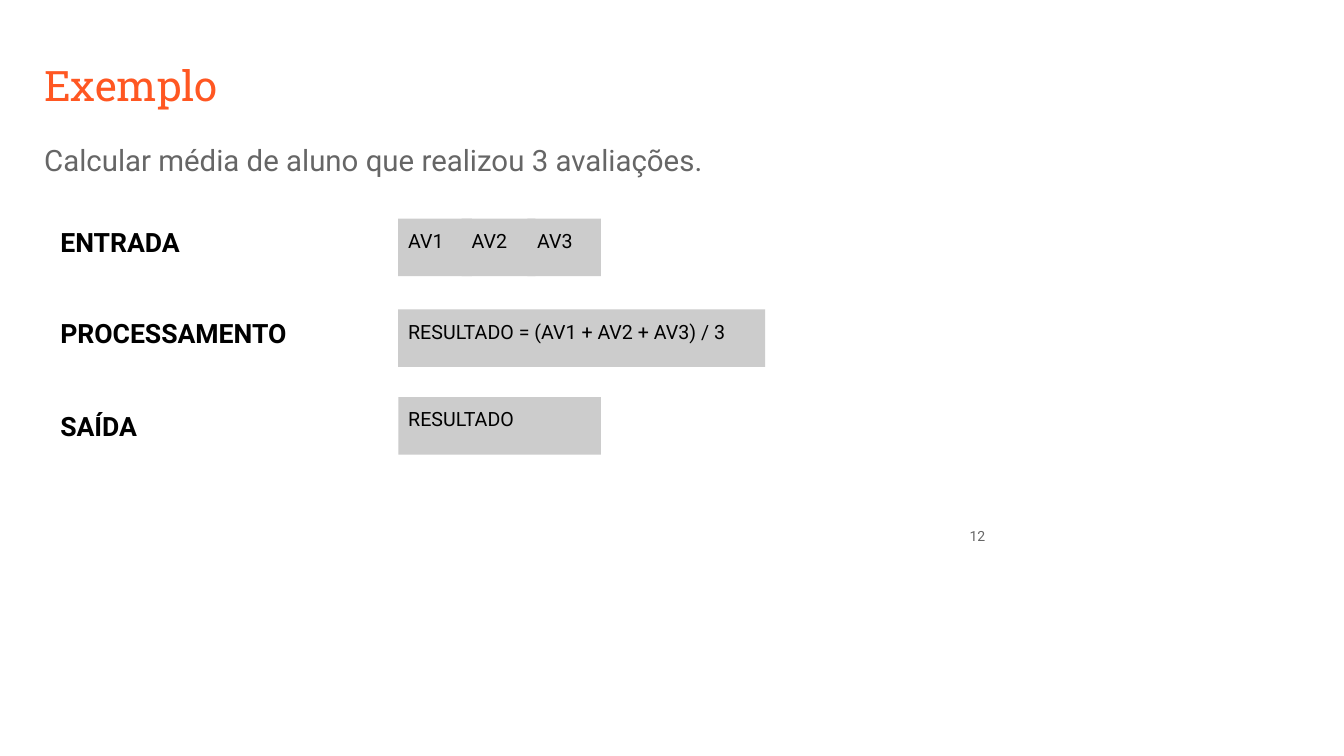
from dataclasses import dataclass

from pptx import Presentation
from pptx.dml.color import RGBColor
from pptx.enum.shapes import MSO_SHAPE
from pptx.enum.text import MSO_ANCHOR, PP_ALIGN
from pptx.shapes.autoshape import Shape
from pptx.slide import Slide
from pptx.util import Inches, Pt

RECTANGLE = MSO_SHAPE.RECTANGLE
TOP, MIDDLE = MSO_ANCHOR.TOP, MSO_ANCHOR.MIDDLE
LEFT, RIGHT = PP_ALIGN.LEFT, PP_ALIGN.RIGHT

COLORS = {"accent": "FF5722", "muted": "666666", "ink": "000000", "box": "CCCCCC"}
BODY_FONT, TITLE_FONT = "Roboto", "Roboto Slab"
LABEL_LEFT, LABEL_WIDTH, LABEL_HEIGHT = 0.5, 4.39, 0.63
BOX_HEIGHT = 0.57


@dataclass(frozen=True)
class TextStyle:
    size: float
    color: str
    font: str = BODY_FONT
    bold: bool = False
    align: PP_ALIGN = LEFT
    anchor: MSO_ANCHOR = TOP


@dataclass(frozen=True)
class Box:
    left: float
    width: float
    text: str


@dataclass(frozen=True)
class Stage:
    label: str
    label_top: float
    box_top: float
    boxes: tuple[Box, ...]


TITLE = TextStyle(30, "accent", TITLE_FONT)
STATEMENT = TextStyle(21, "muted")
STAGE_LABEL = TextStyle(19, "ink", bold=True)
BOX_TEXT = TextStyle(14, "ink")
PAGE_NUMBER = TextStyle(10, "muted", align=RIGHT, anchor=MIDDLE)

STAGES = (
    Stage("ENTRADA", 2.14, 2.17,
          (Box(3.95, 0.73, "AV1"), Box(4.58, 0.73, "AV2"), Box(5.23, 0.73, "AV3"))),
    Stage("PROCESSAMENTO", 3.04, 3.07,
          (Box(3.95, 3.64, "RESULTADO = (AV1 + AV2 + AV3) / 3"),)),
    Stage("SAÍDA", 3.97, 3.94, (Box(3.95, 2.01, "RESULTADO"),)),
)


def write(shape: Shape, text: str, style: TextStyle) -> None:
    frame = shape.text_frame
    frame.word_wrap = True
    frame.vertical_anchor = style.anchor
    frame.margin_left = frame.margin_right = Inches(0.1)
    frame.margin_top = frame.margin_bottom = Inches(0.1)
    paragraph = frame.paragraphs[0]
    paragraph.text = text
    paragraph.alignment = style.align
    font = paragraph.font
    font.name = style.font
    font.size = Pt(style.size)
    font.bold = style.bold
    font.color.rgb = RGBColor.from_string(COLORS[style.color])


def add_text(slide: Slide, left: float, top: float, width: float, height: float,
             text: str, style: TextStyle) -> Shape:
    area = slide.shapes.add_textbox(
        Inches(left), Inches(top), Inches(width), Inches(height))
    write(area, text, style)
    return area


def add_box(slide: Slide, box: Box, top: float) -> None:
    rectangle = slide.shapes.add_shape(
        RECTANGLE, Inches(box.left), Inches(top), Inches(box.width), Inches(BOX_HEIGHT))
    rectangle.shadow.inherit = False
    rectangle.fill.solid()
    rectangle.fill.fore_color.rgb = RGBColor.from_string(COLORS["box"])
    rectangle.line.fill.background()
    write(rectangle, box.text, BOX_TEXT)


def add_stage(slide: Slide, stage: Stage) -> None:
    add_text(slide, LABEL_LEFT, stage.label_top, LABEL_WIDTH, LABEL_HEIGHT,
             stage.label, STAGE_LABEL)
    for box in stage.boxes:
        add_box(slide, box, stage.box_top)


def main() -> None:
    presentation = Presentation()
    presentation.slide_width = Inches(13.33)
    presentation.slide_height = Inches(7.5)
    slide = presentation.slides.add_slide(presentation.slide_layouts[6])

    add_text(slide, 0.34, 0.49, 9.32, 0.63, "Exemplo", TITLE)
    statement = add_text(slide, 0.34, 1.26, 9.32, 3.74,
                         "Calcular média de aluno que realizou 3 avaliações.", STATEMENT)
    statement_paragraph = statement.text_frame.paragraphs[0]
    statement_paragraph.line_spacing = 1.15
    statement_paragraph.space_after = Pt(16)

    for stage in STAGES:
        add_stage(slide, stage)
    add_text(slide, 9.27, 5.1, 0.6, 0.43, "12", PAGE_NUMBER)

    presentation.save("out.pptx")


if __name__ == "__main__":
    main()
